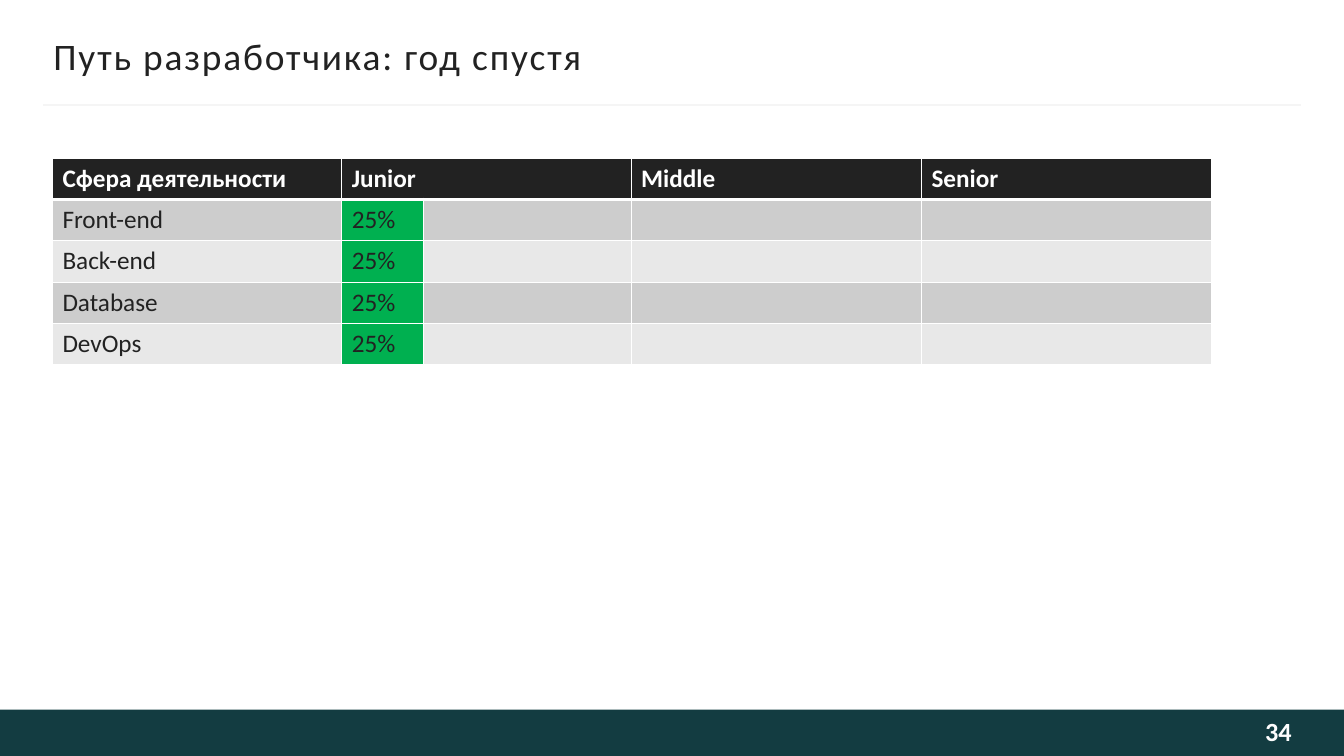
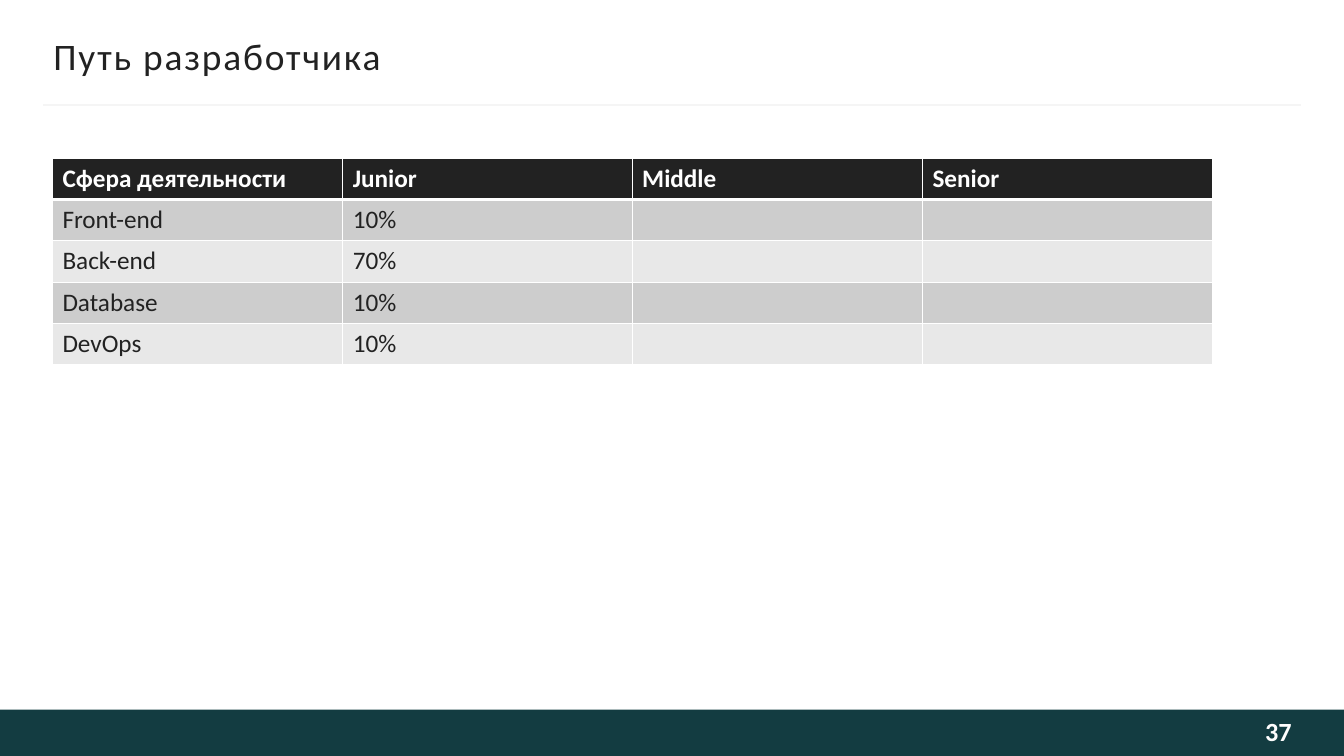
"""Build two slides that show a developer's path as a table of levels."""
from dataclasses import dataclass

from lxml import etree
from pptx import Presentation
from pptx.dml.color import RGBColor
from pptx.enum.shapes import MSO_CONNECTOR, MSO_SHAPE
from pptx.enum.text import MSO_ANCHOR, PP_ALIGN
from pptx.oxml.ns import qn
from pptx.slide import Slide
from pptx.table import _Cell
from pptx.text.text import TextFrame
from pptx.util import Emu, Pt

RECTANGLE = MSO_SHAPE.RECTANGLE
STRAIGHT = MSO_CONNECTOR.STRAIGHT
MIDDLE = MSO_ANCHOR.MIDDLE
LEFT, RIGHT = PP_ALIGN.LEFT, PP_ALIGN.RIGHT

EMU_PER_PX = 9144
SLIDE_WIDTH, SLIDE_HEIGHT = 1333, 750
BAND_TOP, BAND_HEIGHT = 704, 46
TABLE_LEFT, TABLE_TOP, ROW_HEIGHT = 52, 157, 41

INK, WHITE, BAND, RULE = "222222", "FFFFFF", "133C41", "F5F5F5"
ROW_FILLS = ("CDCDCD", "E8E8E8")
PROGRESS = "00B050"

FONT = "Calibri"
TITLE_FONT = {"name": FONT, "size": Pt(26.7), "bold": False}
NUMBER_FONT = {"name": FONT, "size": Pt(18.7), "bold": True}
HEADER_FONT = {"name": FONT, "size": Pt(18), "bold": True}
BODY_FONT = {"name": FONT, "size": Pt(18), "bold": False}

AREAS = ("Front-end", "Back-end", "Database", "DevOps")


@dataclass(frozen=True)
class Box:
    """A rectangle in px."""
    left: int
    top: int
    width: int
    height: int

    def emu(self) -> tuple[Emu, ...]:
        """Return the four lengths in EMU."""
        return tuple(px(n) for n in (self.left, self.top, self.width, self.height))


@dataclass(frozen=True)
class PathSlide:
    """The content of one slide."""
    title: str
    number: str
    widths: tuple[int, ...]
    headers: tuple[str, ...]
    shares: tuple[str, ...]
    share_fill: str | None = None


TITLE_BOX = Box(53, 33, 1229, 44)
NUMBER_BOX = Box(1081, BAND_TOP, 200, BAND_HEIGHT)
BAND_BOX = Box(0, BAND_TOP, SLIDE_WIDTH, BAND_HEIGHT)

SLIDES = (
    PathSlide("Путь разработчика: год спустя", "34", (287, 81, 206, 288, 288),
              ("Сфера деятельности", "Junior", "", "Middle", "Senior"),
              ("25%",) * 4, PROGRESS),
    PathSlide("Путь разработчика", "37", (288, 287, 288, 288),
              ("Сфера деятельности", "Junior", "Middle", "Senior"),
              ("10%", "70%", "10%", "10%")),
)


def px(length: int) -> Emu:
    """Turn px into EMU."""
    return Emu(length * EMU_PER_PX)


def color(value: str) -> RGBColor:
    """Turn a hex string into a colour."""
    return RGBColor.from_string(value)


def write(frame: TextFrame, text: str, formats: dict, ink: str,
          align: PP_ALIGN = LEFT, spacing: int = 0) -> None:
    """Write one formatted run into a text frame."""
    paragraph = frame.paragraphs[0]
    paragraph.alignment = align
    run = paragraph.add_run()
    run.text = text
    for name, value in formats.items():
        setattr(run.font, name, value)
    run.font.color.rgb = color(ink)
    if spacing:
        run._r.get_or_add_rPr().set("spc", str(spacing))


def add_text(slide: Slide, box: Box, text: str, formats: dict, ink: str,
             insets: tuple[int, int, int, int], align: PP_ALIGN = LEFT,
             spacing: int = 0) -> None:
    """Add a text box; insets run left, top, right, bottom."""
    frame = slide.shapes.add_textbox(*box.emu()).text_frame
    frame.word_wrap = True
    frame.vertical_anchor = MIDDLE
    for side, inset in zip(("left", "top", "right", "bottom"), insets):
        setattr(frame, f"margin_{side}", px(inset))
    write(frame, text, formats, ink, align, spacing)


def add_frame(slide: Slide, title: str, number: str) -> None:
    """Draw the band, rule, title and number that all slides share."""
    band = slide.shapes.add_shape(RECTANGLE, *BAND_BOX.emu())
    band.shadow.inherit = False
    band.fill.solid()
    band.fill.fore_color.rgb = color(BAND)
    band.line.fill.background()
    rule = slide.shapes.add_connector(STRAIGHT, px(43), px(104), px(1290), px(104))
    rule.line.color.rgb = color(RULE)
    rule.line.width = Pt(1.5)
    etree.SubElement(rule._element.spPr, qn("a:effectLst"))
    add_text(slide, TITLE_BOX, title, TITLE_FONT, INK, (0, 5, 0, 5), spacing=130)
    add_text(slide, NUMBER_BOX, number, NUMBER_FONT, "FEFEFE", (10, 5, 0, 9), RIGHT)


def set_borders(cell: _Cell, top: int, bottom: int) -> None:
    """Give a cell white borders, with top and bottom widths in points."""
    properties = cell._tc.get_or_add_tcPr()
    widths = {"lnL": 1, "lnR": 1, "lnT": top, "lnB": bottom}
    for position, (tag, width) in enumerate(widths.items()):
        line = etree.Element(qn(f"a:{tag}"), w=str(Pt(width)))
        fill = etree.SubElement(line, qn("a:solidFill"))
        etree.SubElement(fill, qn("a:srgbClr"), val=WHITE)
        properties.insert(position, line)


def add_path_table(slide: Slide, content: PathSlide) -> None:
    """Add the table of areas and levels."""
    columns = len(content.widths)
    blanks = ("",) * (columns - 2)
    rows = [content.headers]
    rows += [(area, share, *blanks) for area, share in zip(AREAS, content.shares)]
    box = Box(TABLE_LEFT, TABLE_TOP, sum(content.widths), ROW_HEIGHT * len(rows))
    table = slide.shapes.add_table(len(rows), columns, *box.emu()).table
    for column, width in zip(table.columns, content.widths):
        column.width = px(width)
    for r, texts in enumerate(rows):
        header = r == 0
        for c, text in enumerate(texts):
            cell = table.cell(r, c)
            fill = INK if header else ROW_FILLS[(r - 1) % 2]
            if content.share_fill and c == 1 and not header:
                fill = content.share_fill
            cell.fill.solid()
            cell.fill.fore_color.rgb = color(fill)
            set_borders(cell, 3 if r == 1 else 1, 3 if header else 1)
            if text:
                write(cell.text_frame, text, HEADER_FONT if header else BODY_FONT,
                      WHITE if header else INK)
    for c in range(1, columns):
        if not content.headers[c]:
            table.cell(0, c - 1).merge(table.cell(0, c))


def main() -> None:
    """Build and save the presentation."""
    presentation = Presentation()
    presentation.slide_width = px(SLIDE_WIDTH)
    presentation.slide_height = px(SLIDE_HEIGHT)
    blank = presentation.slide_layouts[6]
    for content in SLIDES:
        slide = presentation.slides.add_slide(blank)
        add_frame(slide, content.title, content.number)
        add_path_table(slide, content)
    presentation.save("out.pptx")


if __name__ == "__main__":
    main()
